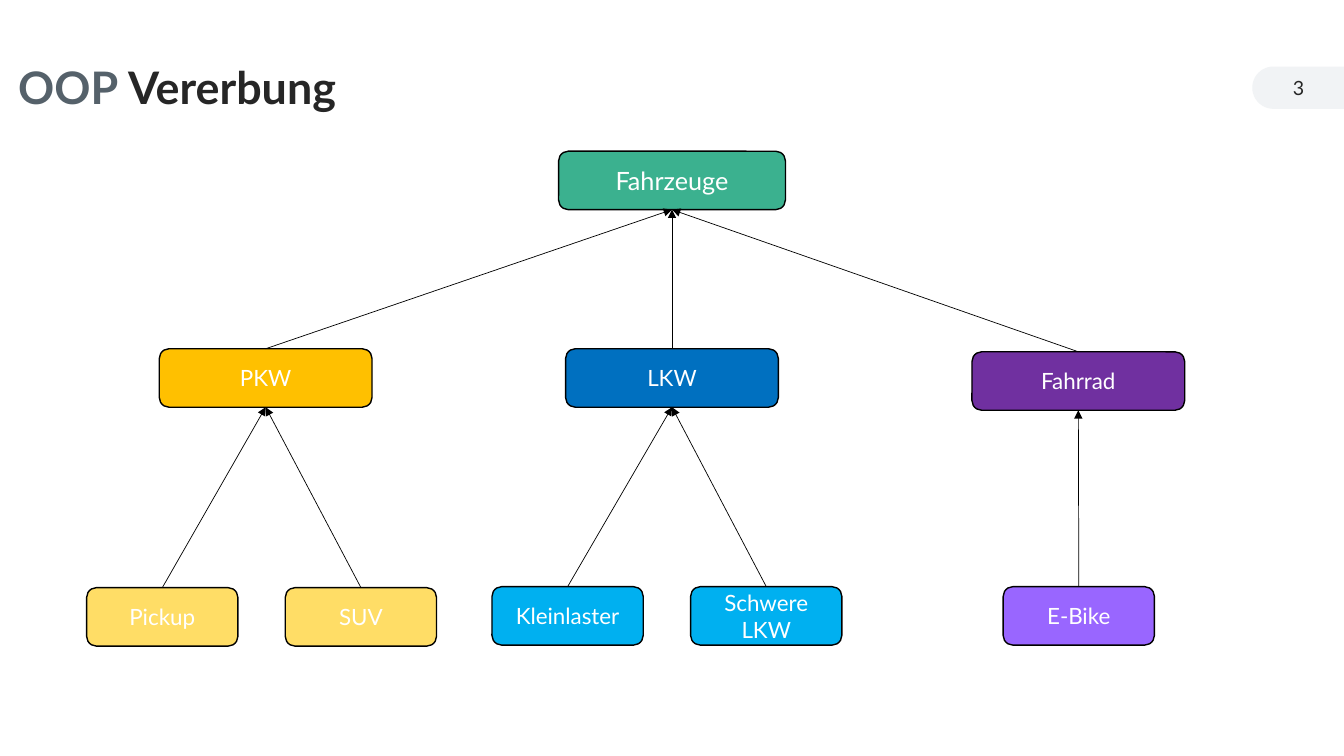
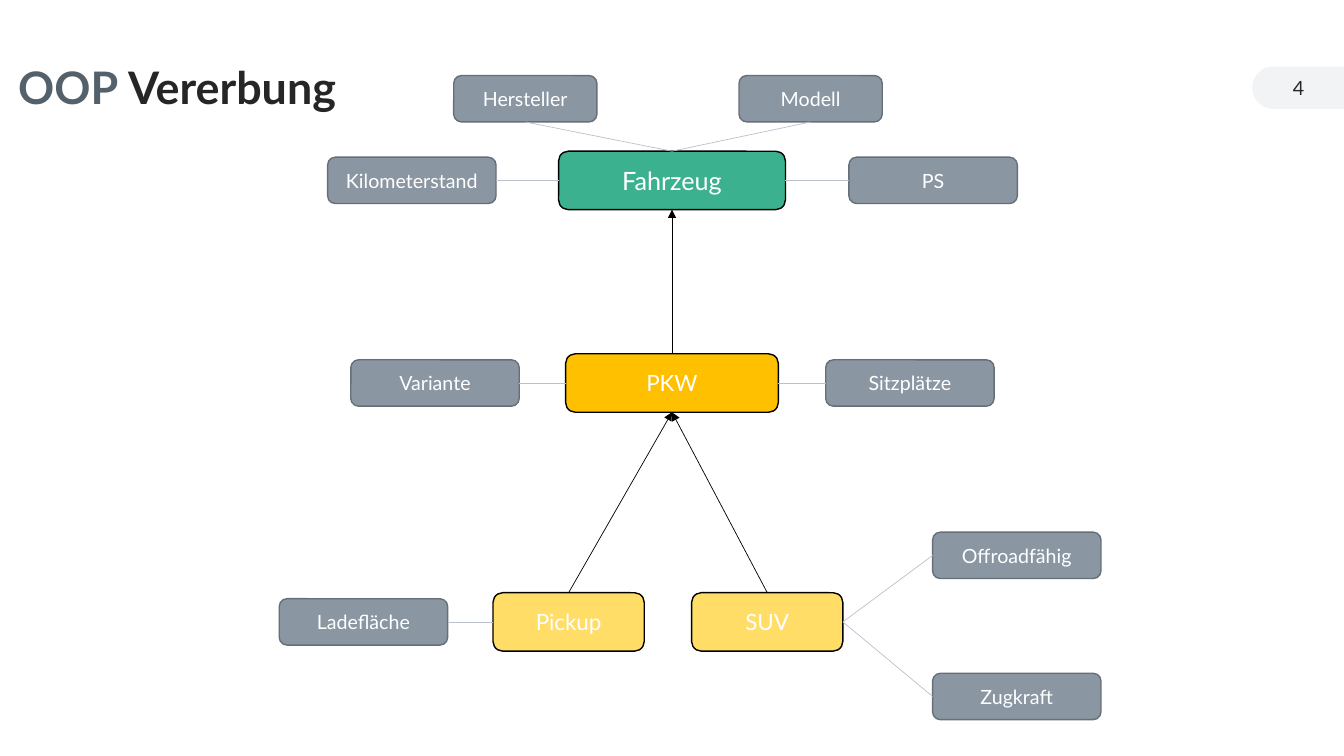
"""Two slides on inheritance in OOP: a vehicle class tree and its attributes."""
from math import cos, pi, sin

from pptx import Presentation
from pptx.dml.color import RGBColor
from pptx.enum import shapes, text
from pptx.oxml.ns import qn
from pptx.util import Inches, Pt
from lxml import etree

FONT = "Lato"
WHITE = RGBColor(0xFF, 0xFF, 0xFF)
BLACK = RGBColor(0x00, 0x00, 0x00)
INK = RGBColor(0x26, 0x26, 0x26)
SLATE = RGBColor(0x55, 0x61, 0x6A)
PILL = RGBColor(0xF1, 0xF3, 0xF5)
GREEN = RGBColor(0x3B, 0xB1, 0x8F)
AMBER = RGBColor(0xFF, 0xC0, 0x00)
YELLOW = RGBColor(0xFF, 0xDD, 0x66)
BLUE = RGBColor(0x00, 0x70, 0xC0)
SKY = RGBColor(0x00, 0xB0, 0xF0)
PURPLE = RGBColor(0x70, 0x30, 0xA0)
VIOLET = RGBColor(0x99, 0x66, 0xFF)
GREY = RGBColor(0x8A, 0x96, 0xA2)
GREY_EDGE = RGBColor(0x66, 0x6F, 0x78)
GREY_LINK = RGBColor(0xBB, 0xC1, 0xCC)

TOP, LEFT, BOTTOM, RIGHT = range(4)
ROOT_W, CLASS_W, LEAF_W, CLASS_H = 2.25, 2.11, 1.5, 0.58
ATTR_W, ATTR_SHORT_W, ATTR_H = 1.67, 1.42, 0.46


def add_box(s, label, left, top, width, fill, size=16):
    """Add a labelled class box, or an attribute box when the fill is grey."""
    is_attr = fill == GREY
    sp = s.shapes.add_shape(
        shapes.MSO_SHAPE.ROUNDED_RECTANGLE, Inches(left), Inches(top),
        Inches(width), Inches(ATTR_H if is_attr else CLASS_H))
    sp.shadow.inherit = False
    sp.fill.solid()
    sp.fill.fore_color.rgb = fill
    sp.line.color.rgb = GREY_EDGE if is_attr else BLACK
    sp.line.width = Pt(1)
    tf = sp.text_frame
    tf.word_wrap = True
    tf.vertical_anchor = text.MSO_ANCHOR.MIDDLE
    p = tf.paragraphs[0]
    p.text = label
    p.alignment = text.PP_ALIGN.CENTER
    p.font.name, p.font.size = FONT, Pt(14 if is_attr else size)
    p.font.color.rgb = WHITE
    return sp


def add_link(s, start, start_site, end, end_site, color, arrow=False):
    """Glue a line between two boxes, with an optional arrowhead at its start."""
    cx = s.shapes.add_connector(shapes.MSO_CONNECTOR.STRAIGHT, 0, 0, 0, 0)
    cx.begin_connect(start, start_site)
    cx.end_connect(end, end_site)
    cx.line.color.rgb = color
    cx.line.width = Pt(0.5)
    if arrow:
        ln = cx.line._get_or_add_ln()
        etree.SubElement(ln, qn("a:headEnd"), type="triangle")
    etree.SubElement(cx._element.spPr, qn("a:effectLst"))


prs = Presentation()
prs.slide_width, prs.slide_height = Inches(13.33), Inches(7.5)

slides = []
for number in (3, 4):
    s = prs.slides.add_slide(prs.slide_layouts[6])
    slides.append(s)

    radius, center_x, center_y = 0.21, 12.63, 0.87
    arc = [(center_x - radius * sin(pi * i / 24), center_y + radius * cos(pi * i / 24))
           for i in range(25)]
    outline = [(13.33, center_y - radius), (13.33, center_y + radius)] + arc
    points = [(Inches(x), Inches(y)) for x, y in outline]
    builder = s.shapes.build_freeform(*points[0])
    builder.add_line_segments(points[1:], close=True)
    pill = builder.convert_to_shape()
    pill.shadow.inherit = False
    pill.fill.solid()
    pill.fill.fore_color.rgb = PILL
    pill.line.fill.background()

    for left, top, width, height, size, align, bold, runs in (
            (12.42, 0.67, 0.92, 0.4, 14, text.PP_ALIGN.CENTER, False, [(str(number), INK)]),
            (0.18, 0.45, 6.58, 0.88, 32, text.PP_ALIGN.LEFT, True,
             [("OOP ", SLATE), ("Vererbung", INK)])):
        tb = s.shapes.add_textbox(Inches(left), Inches(top), Inches(width), Inches(height))
        tf = tb.text_frame
        tf.word_wrap = True
        tf.vertical_anchor = text.MSO_ANCHOR.MIDDLE
        tf.margin_left = tf.margin_right = 0
        p = tf.paragraphs[0]
        p.alignment = align
        p.line_spacing = 0.9 if bold else 1.0
        p.font.name, p.font.size, p.font.bold = FONT, Pt(size), bold
        for words, color in runs:
            r = p.add_run()
            r.text = words
            r.font.color.rgb = color

tree, detail = slides

vehicles = add_box(tree, "Fahrzeuge", 5.54, 1.5, ROOT_W, GREEN, 18)
for label, left, top, fill, leaf_top, leaf_fill, leaves in (
        ("PKW", 1.58, 3.46, AMBER, 5.83, YELLOW, [("Pickup", 0.86), ("SUV", 2.83)]),
        ("LKW", 5.61, 3.46, BLUE, 5.82, SKY, [("Kleinlaster", 4.88), ("Schwere LKW", 6.85)]),
        ("Fahrrad", 9.64, 3.49, PURPLE, 5.82, VIOLET, [("E-Bike", 9.95)])):
    parent = add_box(tree, label, left, top, CLASS_W, fill)
    add_link(tree, vehicles, BOTTOM, parent, TOP, BLACK, arrow=True)
    for leaf_label, leaf_left in leaves:
        leaf = add_box(tree, leaf_label, leaf_left, leaf_top, LEAF_W, leaf_fill)
        add_link(tree, parent, BOTTOM, leaf, TOP, BLACK, arrow=True)

vehicle = add_box(detail, "Fahrzeug", 5.54, 1.5, ROOT_W, GREEN, 18)
car = add_box(detail, "PKW", 5.61, 3.51, CLASS_W, AMBER)
pickup = add_box(detail, "Pickup", 4.89, 5.88, LEAF_W, YELLOW)
suv = add_box(detail, "SUV", 6.86, 5.88, LEAF_W, YELLOW)
for parent, child in ((vehicle, car), (car, pickup), (car, suv)):
    add_link(detail, parent, BOTTOM, child, TOP, BLACK, arrow=True)

for label, left, top, width, site, owner, owner_site in (
        ("Hersteller", 4.5, 0.75, ATTR_SHORT_W, BOTTOM, vehicle, TOP),
        ("Modell", 7.33, 0.75, ATTR_SHORT_W, BOTTOM, vehicle, TOP),
        ("Kilometerstand", 3.25, 1.56, ATTR_W, RIGHT, vehicle, LEFT),
        ("PS", 8.42, 1.56, ATTR_W, LEFT, vehicle, RIGHT),
        ("Variante", 3.48, 3.57, ATTR_W, RIGHT, car, LEFT),
        ("Sitzplätze", 8.19, 3.57, ATTR_W, LEFT, car, RIGHT),
        ("Ladefläche", 2.77, 5.94, ATTR_W, RIGHT, pickup, LEFT),
        ("Offroadfähig", 9.25, 5.28, ATTR_W, LEFT, suv, RIGHT),
        ("Zugkraft", 9.25, 6.68, ATTR_W, LEFT, suv, RIGHT)):
    attr = add_box(detail, label, left, top, width, GREY)
    add_link(detail, attr, site, owner, owner_site, GREY_LINK)

prs.save("out.pptx")
